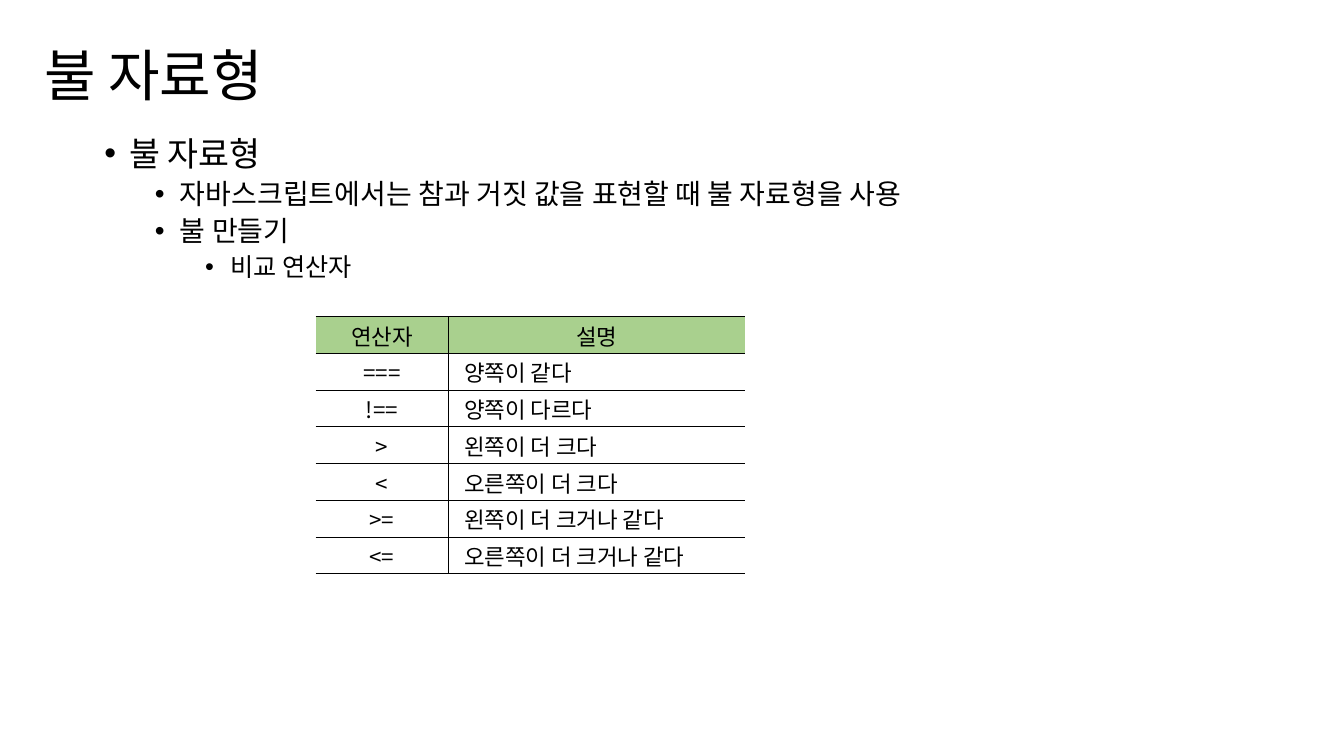
from dataclasses import dataclass

from lxml import etree
from pptx import Presentation
from pptx.dml.color import RGBColor
from pptx.enum.text import MSO_ANCHOR, MSO_AUTO_SIZE, PP_ALIGN
from pptx.oxml.ns import qn
from pptx.util import Emu, Pt

LEFT, CENTER = PP_ALIGN.LEFT, PP_ALIGN.CENTER
MIDDLE, TOP = MSO_ANCHOR.MIDDLE, MSO_ANCHOR.TOP
NO_FIT, GROW = MSO_AUTO_SIZE.NONE, MSO_AUTO_SIZE.SHAPE_TO_FIT_TEXT

SCALE = 914400 / 192  # EMU per px
COLORS = {"text": "000000", "line": "000000", "head": "A9D08E"}
SANS, KOREAN = "Arial", "Noto Sans CJK KR"
STEP, HANG = 96, 48
COLS, ROW = (253, 565), 70


@dataclass
class Box:
    x: int
    y: int
    w: int
    h: int


@dataclass
class Point:
    level: int
    size: int
    text: str


@dataclass
class Rule:
    sign: str
    note: str


POINTS = [
    Point(1, 24, "불 자료형"),
    Point(2, 20, "자바스크립트에서는 참과 거짓 값을 표현할 때 불 자료형을 사용"),
    Point(2, 20, "불 만들기"),
    Point(3, 18, "비교 연산자"),
]
RULES = [
    Rule("연산자", "설명"),
    Rule("===", "양쪽이 같다"),
    Rule("!==", "양쪽이 다르다"),
    Rule(">", "왼쪽이 더 크다"),
    Rule("<", "오른쪽이 더 크다"),
    Rule(">=", "왼쪽이 더 크거나 같다"),
    Rule("<=", "오른쪽이 더 크거나 같다"),
]


def px(n: int) -> Emu:
    return Emu(round(n * SCALE))


def span(box: Box) -> tuple:
    return px(box.x), px(box.y), px(box.w), px(box.h)


def add_run(para, text: str, size: int, face: str) -> None:
    run = para.add_run()
    run.text = text
    font = run.font
    font.size, font.name = Pt(size), face
    font.color.rgb = RGBColor.from_string(COLORS["text"])
    east = etree.Element(qn("a:ea"), typeface=KOREAN)
    run._r.get_or_add_rPr().find(qn("a:latin")).addnext(east)


def add_title(slide, box: Box, text: str) -> None:
    title = slide.shapes.title
    title.left, title.top, title.width, title.height = span(box)
    frame = title.text_frame
    frame.word_wrap, frame.auto_size = True, GROW
    frame.vertical_anchor = MIDDLE
    para = frame.paragraphs[0]
    para.alignment = LEFT
    add_run(para, text, 40, KOREAN)


def add_points(slide, box: Box, points: list[Point]) -> None:
    frame = slide.shapes.add_textbox(*span(box)).text_frame
    frame.word_wrap, frame.auto_size = True, NO_FIT
    frame.vertical_anchor = TOP
    for i, point in enumerate(points):
        para = frame.add_paragraph() if i else frame.paragraphs[0]
        props = para._p.get_or_add_pPr()
        props.set("marL", str(px(HANG + STEP * point.level)))
        props.set("indent", str(-px(HANG)))
        etree.SubElement(props, qn("a:buFont"), typeface=SANS)
        etree.SubElement(props, qn("a:buChar"), char="•")
        para.level = point.level
        para.line_spacing = 0.9
        para.space_before = Pt(5 if i else 0)
        add_run(para, point.text, point.size, SANS)


def set_edges(cell, shown: str) -> None:
    props = cell._tc.get_or_add_tcPr()
    for i, side in enumerate("LRTB"):
        line = etree.Element(qn(f"a:ln{side}"), w=str(Pt(0.5)))
        if side in shown:
            fill = etree.SubElement(line, qn("a:solidFill"))
            etree.SubElement(fill, qn("a:srgbClr"), val=COLORS["line"])
        else:
            etree.SubElement(line, qn("a:noFill"))
        props.insert(i, line)


def fill_cell(cell, text: str, head: bool, first: bool) -> None:
    mid = head or first
    cell.margin_left = px(2 if mid else 30)
    cell.margin_right = cell.margin_top = px(2)
    cell.margin_bottom = 0
    cell.vertical_anchor = MIDDLE
    if head:
        cell.fill.solid()
        cell.fill.fore_color.rgb = RGBColor.from_string(COLORS["head"])
    else:
        cell.fill.background()
    set_edges(cell, "RTB" if first else "LTB")
    para = cell.text_frame.paragraphs[0]
    para.alignment = CENTER if mid else LEFT
    add_run(para, text, 16, KOREAN)


def add_rules(slide, x: int, y: int, rules: list[Rule]) -> None:
    box = Box(x, y, sum(COLS), ROW * len(rules))
    table = slide.shapes.add_table(len(rules), len(COLS), *span(box)).table
    table.first_row = table.horz_banding = False
    for col, wide in zip(table.columns, COLS):
        col.width = px(wide)
    for r, rule in enumerate(rules):
        table.rows[r].height = px(ROW)
        for c, text in enumerate((rule.sign, rule.note)):
            fill_cell(table.cell(r, c), text, r == 0, c == 0)


def main() -> None:
    deck = Presentation()
    deck.slide_width, deck.slide_height = px(2560), px(1440)
    slide = deck.slides.add_slide(deck.slide_layouts[5])
    # Heading
    add_title(slide, Box(65, 67, 1338, 148), "불 자료형")
    # Bullet list
    add_points(slide, Box(84, 252, 2369, 315), POINTS)
    # Operator table
    add_rules(slide, 601, 603, RULES)
    deck.save("out.pptx")


if __name__ == "__main__":
    main()
